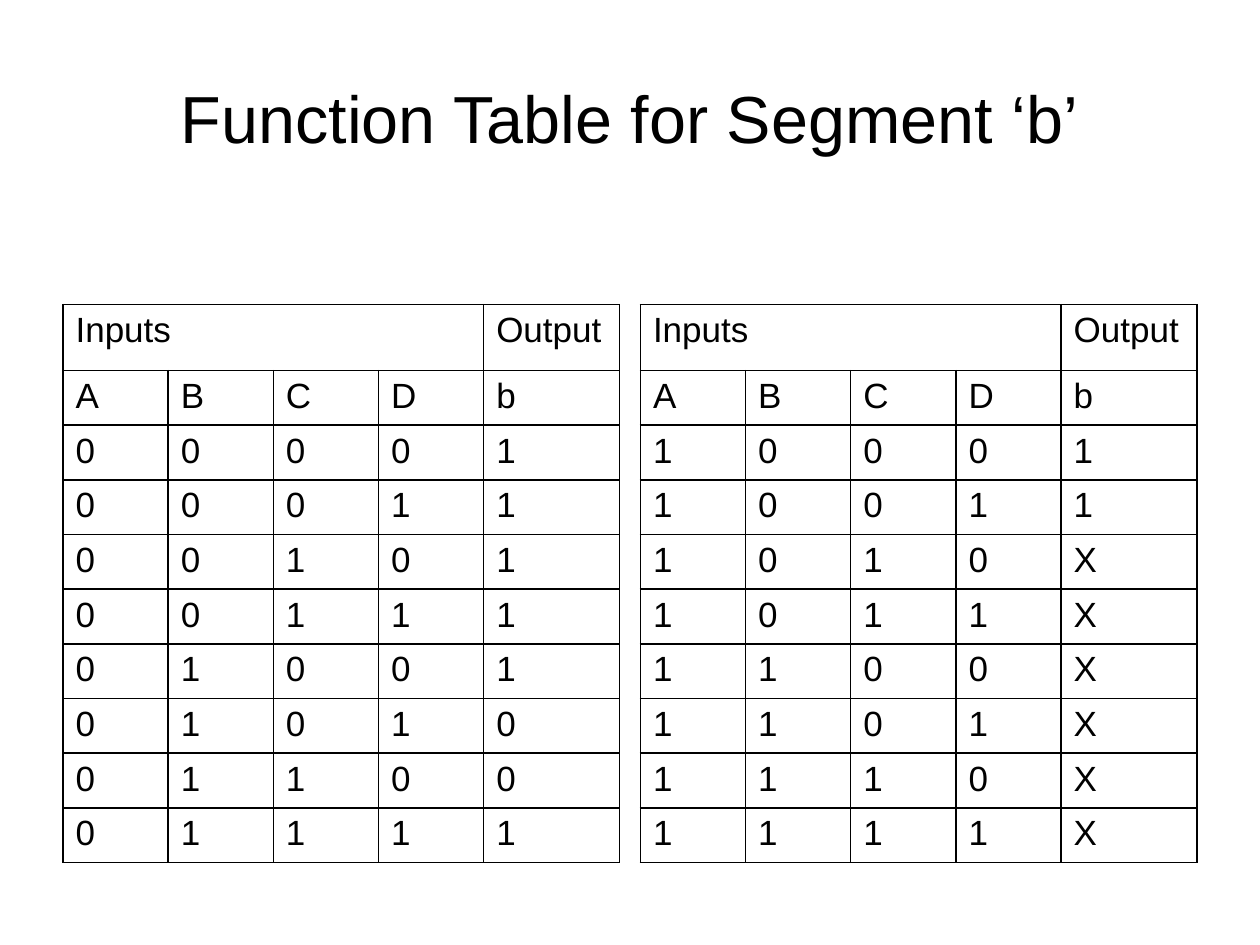
from lxml.etree import SubElement
from pptx import Presentation
from pptx.dml.color import RGBColor
from pptx.enum.text import MSO_ANCHOR as Anchor, PP_ALIGN as Align
from pptx.oxml.ns import qn
from pptx.util import Cm, Pt

BLACK = RGBColor(0x00, 0x00, 0x00)
WHITE = RGBColor(0xFF, 0xFF, 0xFF)
INPUT_NAMES = "ABCD"
SEGMENT_OUTPUTS = "1111100111XXXXXX"
COLUMN_WIDTHS = [2.12] * 4 + [2.74]
ROW_HEIGHTS = [1.33] + [1.1] * 9


def write_text(text_frame, text, size=20, align=Align.JUSTIFY, hanging=0):
    paragraph = text_frame.paragraphs[0]
    paragraph.alignment = align
    if hanging:
        properties = paragraph._p.get_or_add_pPr()
        properties.set("marL", str(Cm(hanging)))
        properties.set("indent", str(-Cm(hanging)))
    run = paragraph.add_run()
    run.text = text
    run.font.name = "Arial"
    run.font.size = Pt(size)
    run.font.color.rgb = BLACK


def truth_rows(first, last):
    return [[*format(number, "04b"), SEGMENT_OUTPUTS[number]]
            for number in range(first, last + 1)]


class SlideBuilder:
    border_width = Pt(1)
    border_color = BLACK

    def __init__(self, slide):
        self.slide = slide
        slide.background.fill.solid()
        slide.background.fill.fore_color.rgb = WHITE

    def title(self, text, left, top, width, height):
        box = self.slide.shapes.add_textbox(Cm(left), Cm(top), Cm(width), Cm(height))
        box.text_frame.word_wrap = True
        box.text_frame.vertical_anchor = Anchor.MIDDLE
        write_text(box.text_frame, text, size=38, align=Align.CENTER)

    def style_cell(self, cell):
        properties = cell._tc.get_or_add_tcPr()
        for side in ("lnL", "lnR", "lnT", "lnB"):
            line = SubElement(properties, qn(f"a:{side}"), w=str(self.border_width))
            fill = SubElement(line, qn("a:solidFill"))
            SubElement(fill, qn("a:srgbClr"), val=str(self.border_color))
        cell.fill.background()

    def function_table(self, left, top, rows, hanging=0):
        frame = self.slide.shapes.add_table(
            len(ROW_HEIGHTS), len(COLUMN_WIDTHS), Cm(left), Cm(top),
            Cm(sum(COLUMN_WIDTHS)), Cm(sum(ROW_HEIGHTS)))
        table = frame.table
        table.first_row = False
        table.horz_banding = False
        for column, width in zip(table.columns, COLUMN_WIDTHS):
            column.width = Cm(width)
        for row, height in zip(table.rows, ROW_HEIGHTS):
            row.height = Cm(height)
        table.cell(0, 0).merge(table.cell(0, 3))
        headings = [["Inputs", "", "", "", "Output"], [*INPUT_NAMES, "b"]]
        for row, values in zip(table.rows, headings + rows):
            for cell, value in zip(row.cells, values):
                self.style_cell(cell)
                if value:
                    write_text(cell.text_frame, value, hanging=hanging)


def main():
    presentation = Presentation()
    presentation.slide_width = Cm(25.4)
    presentation.slide_height = Cm(19.05)
    builder = SlideBuilder(presentation.slides.add_slide(presentation.slide_layouts[6]))
    builder.title("Function Table for Segment ‘b’", 1.27, 0.76, 22.86, 3.18)
    builder.function_table(1.27, 6.14, truth_rows(0, 7), hanging=0.95)
    builder.function_table(12.91, 6.14, truth_rows(8, 15))
    presentation.save("out.pptx")


if __name__ == "__main__":
    main()
